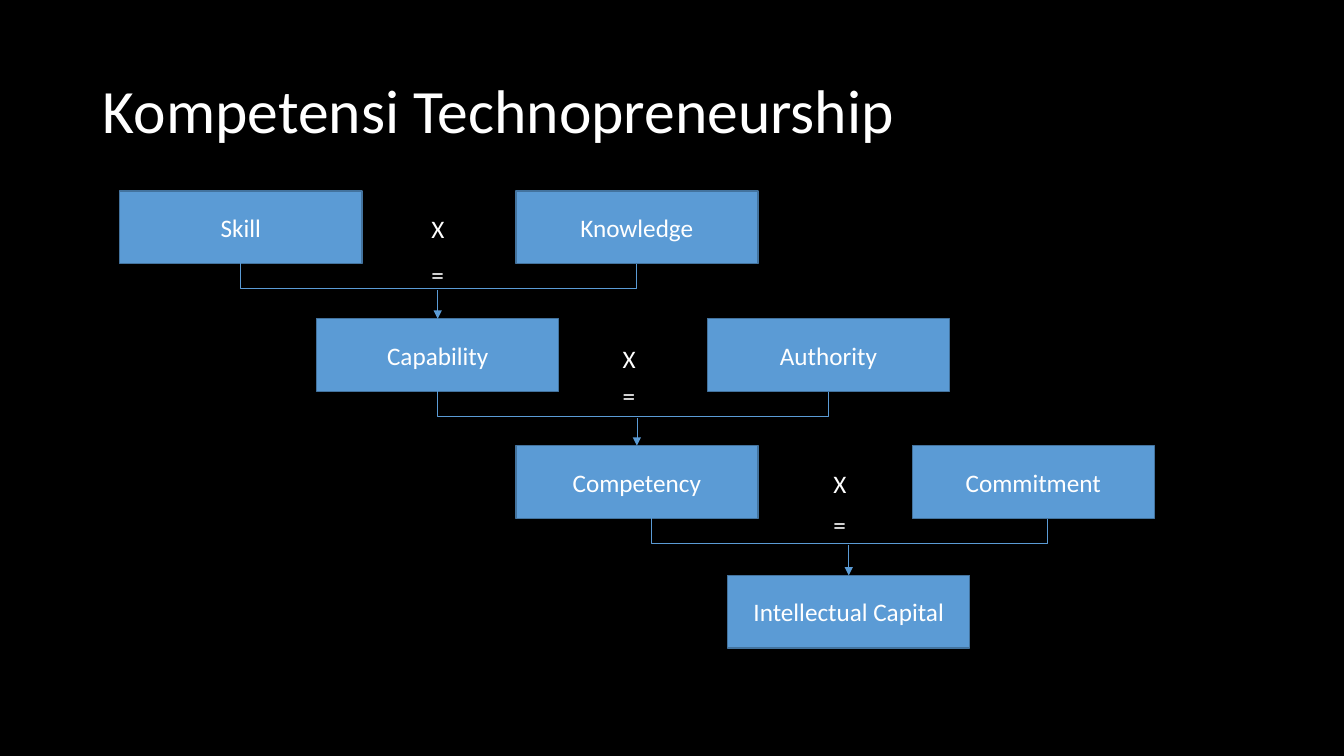
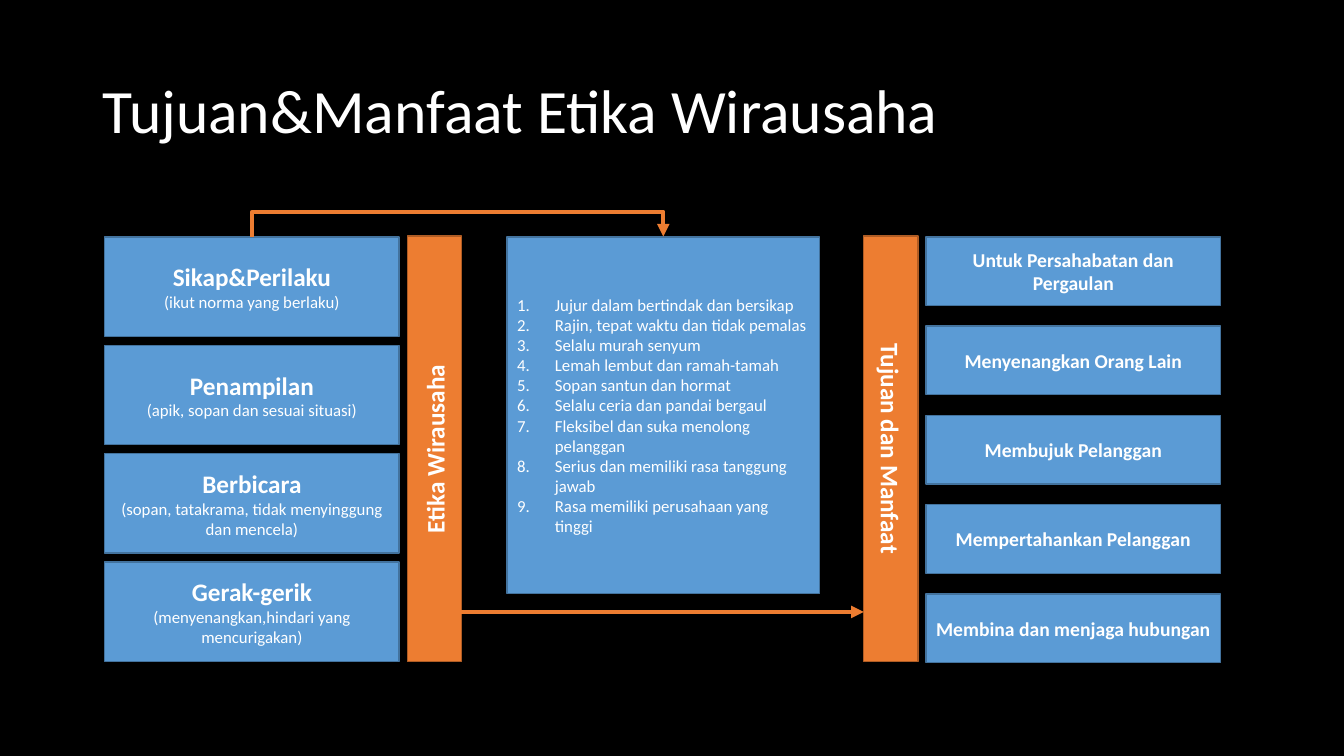
from pptx import Presentation
from pptx import util as u
from pptx.dml.color import RGBColor
from pptx.enum import shapes, text
from pptx.oxml import ns
from lxml import etree

BLACK = RGBColor(0x00, 0x00, 0x00)
WHITE = RGBColor(0xFF, 0xFF, 0xFF)
BLUE = RGBColor(0x5B, 0x9B, 0xD5)
BLUE_EDGE = RGBColor(0x43, 0x73, 0x9E)
ORANGE = RGBColor(0xED, 0x7D, 0x31)
ORANGE_EDGE = RGBColor(0xAF, 0x5C, 0x24)
FONT = "Calibri"
BODY_LAYOUT, TITLE_LAYOUT = 1, 5
CENTER, LEFT = text.PP_ALIGN.CENTER, text.PP_ALIGN.LEFT


def add_xml(parent, tag, **attributes):
    return etree.SubElement(parent, ns.qn(tag), attributes)


class Deck:
    """Holds the shared style and the slide being filled; lengths in cm."""

    def __init__(self):
        self.prs = Presentation()
        self.prs.slide_width, self.prs.slide_height = u.Cm(33.87), u.Cm(19.05)
        background = self.prs.slide_master.background.fill
        background.solid()
        background.fore_color.rgb = BLACK

    def new_slide(self, heading, layout):
        self.slide = self.prs.slides.add_slide(self.prs.slide_layouts[layout])
        title = self.slide.shapes.title
        self.place(title, 2.34, 1.02, 29.21, 3.68)
        self.fill_text(title, [(heading, 44, False)], LEFT)
        title.text_frame.paragraphs[0].line_spacing = 0.9

    def place(self, shape, x, y, w, h):
        shape.left, shape.top = u.Cm(x), u.Cm(y)
        shape.width, shape.height = u.Cm(w), u.Cm(h)

    def paint(self, shape, fill, edge):
        shape.fill.solid()
        shape.fill.fore_color.rgb = fill
        shape.line.color.rgb = edge
        shape.line.width = u.Pt(1)

    def fill_text(self, shape, lines, align=CENTER):
        """Each line is (words, size, bold) and becomes one paragraph."""
        frame = shape.text_frame
        frame.auto_size = text.MSO_AUTO_SIZE.NONE
        frame.word_wrap = True
        frame.vertical_anchor = text.MSO_ANCHOR.MIDDLE
        for i, (words, size, bold) in enumerate(lines):
            paragraph = frame.add_paragraph() if i else frame.paragraphs[0]
            paragraph.alignment = align
            run = paragraph.add_run()
            run.text = words
            run.font.name, run.font.size, run.font.bold = FONT, u.Pt(size), bold
            run.font.color.rgb = WHITE

    def box(self, x, y, w, h, lines, fill=BLUE, edge=BLUE_EDGE):
        box = self.slide.shapes.add_shape(
            shapes.MSO_SHAPE.RECTANGLE, u.Cm(x), u.Cm(y), u.Cm(w), u.Cm(h))
        box.shadow.inherit = False
        self.paint(box, fill, edge)
        self.fill_text(box, lines)
        return box

    def bar(self, center_x, center_y, length, thickness, words, rotation):
        bar = self.box(center_x - length / 2, center_y - thickness / 2, length,
                       thickness, [(words, 18, True)], ORANGE, ORANGE_EDGE)
        bar.rotation = rotation

    def sign(self, x, y, words):
        sign = self.slide.shapes.add_textbox(u.Cm(x), u.Cm(y), u.Cm(0.91), u.Cm(1.02))
        self.fill_text(sign, [(words, 18, False)], LEFT)
        sign.text_frame.word_wrap = False
        sign.text_frame.auto_size = text.MSO_AUTO_SIZE.SHAPE_TO_FIT_TEXT
        sign.text_frame.vertical_anchor = text.MSO_ANCHOR.TOP

    def numbered_list(self, x, y, w, h, items):
        body = self.slide.placeholders[1]
        self.place(body, x, y, w, h)
        self.paint(body, BLUE, BLUE_EDGE)
        self.fill_text(body, [(item, 12, False) for item in items], LEFT)
        for paragraph in body.text_frame.paragraphs:
            paragraph.space_before = u.Pt(0)
            props = paragraph._p.get_or_add_pPr()
            props.set("marL", str(u.Cm(0.95)))
            props.set("indent", str(-u.Cm(0.95)))
            add_xml(props, "a:buAutoNum", type="arabicPeriod")

    def connector(self, kind, x1, y1, x2, y2, color, width, head):
        line = self.slide.shapes.add_connector(
            kind, u.Cm(x1), u.Cm(y1), u.Cm(x2), u.Cm(y2))
        line.line.color.rgb = color
        line.line.width = u.Pt(width)
        props = line._element.spPr
        if head:
            add_xml(props.find(ns.qn("a:ln")), "a:tailEnd", type="triangle")
        add_xml(props, "a:effectLst")
        return line

    def arrow(self, x1, y1, x2, y2, color, width):
        return self.connector(shapes.MSO_CONNECTOR.STRAIGHT, x1, y1, x2, y2,
                              color, width, True)

    def bracket(self, x1, x2, y, color, width, down=True, head=False):
        """U-shaped elbow from x1 to x2: a quarter-turned, very thin connector."""
        thin, depth = 0.02, 0.64
        middle, half = (x1 + x2) / 2, (x2 - x1) / 2 * (1 if down else -1)
        elbow = self.connector(
            shapes.MSO_CONNECTOR.ELBOW, middle + thin / 2, y - half,
            middle - thin / 2, y + half, color, width, head)
        props = elbow._element.spPr
        props.find(ns.qn("a:xfrm")).set("rot", str((270 if down else 90) * 60000))
        geometry = props.find(ns.qn("a:prstGeom"))
        for old in list(geometry):
            geometry.remove(old)
        add_xml(add_xml(geometry, "a:avLst"), "a:gd", name="adj1",
                fmla=f"val {round(depth / thin * 100000)}")


def competence_slide(deck):
    deck.new_slide("Kompetensi Technopreneurship", TITLE_LAYOUT)
    width, height = 6.1, 1.83

    # Boxes: both factors of each row, then the final result
    rows = [(4.81, (3.02, "Skill"), (13, "Knowledge")),
            (8.03, (7.98, "Capability"), (17.83, "Authority")),
            (11.23, (13, "Competency"), (22.99, "Commitment")),
            (14.5, (18.34, "Intellectual Capital"))]
    results = [[deck.box(x, y, width, height, [(words, 18, False)])
                for x, words in factors][0] for y, *factors in rows]

    # Bracket under each pair and arrow to its result
    for (y, first, second), shift, result in zip(rows[:3], (0, 0, 0.36), results[1:]):
        bottom = y + height
        deck.bracket(first[0] + width / 2 + shift, second[0] + width / 2 + shift,
                     bottom, BLUE, 0.5)
        x = (result.left + result.width / 2) / u.Cm(1)
        arrow = deck.arrow(x, bottom + 0.67, x, result.top / u.Cm(1), BLUE, 0.5)
        arrow.end_connect(result, 0)

    # Multiplication and equals signs
    for x, times_y, equals_y in [(10.62, 5.26, 6.4), (15.44, 8.53, 9.47),
                                 (20.75, 11.68, 12.7)]:
        deck.sign(x, times_y, "X")
        deck.sign(x, equals_y, "=")


def ethics_slide(deck):
    deck.new_slide("Tujuan&Manfaat Etika Wirausaha", BODY_LAYOUT)
    top, width = 5.97, 7.42
    ethics_x, list_x, list_width = 2.64, 12.78, 7.87

    # Four sides of ethics
    ethics = [("Sikap&Perilaku", "(ikut norma yang berlaku)"),
              ("Penampilan", "(apik, sopan dan sesuai situasi)"),
              ("Berbicara", "(sopan, tatakrama, tidak menyinggung dan mencela)"),
              ("Gerak-gerik", "(menyenangkan,hindari yang mencurigakan)")]
    for i, (side, detail) in enumerate(ethics):
        deck.box(ethics_x, top + 2.73 * i, width, 2.51,
                 [(side, 18, True), (detail, 12, False)])

    # Rules of conduct
    deck.numbered_list(list_x, top, list_width, 8.99, [
        "Jujur dalam bertindak dan bersikap",
        "Rajin, tepat waktu dan tidak pemalas",
        "Selalu murah senyum",
        "Lemah lembut dan ramah-tamah",
        "Sopan santun dan hormat",
        "Selalu ceria dan pandai bergaul",
        "Fleksibel dan suka menolong pelanggan",
        "Serius dan memiliki rasa tanggung jawab",
        "Rasa memiliki perusahaan yang tinggi"])

    # Upright bars
    deck.bar(10.95, 11.31, 10.72, 1.37, "Etika Wirausaha", 270)
    deck.bar(22.45, 11.31, 10.72, 1.37, "Tujuan dan Manfaat", 90)

    # Goals and benefits
    goals = ["Untuk Persahabatan dan Pergaulan", "Menyenangkan Orang Lain",
             "Membujuk Pelanggan", "Mempertahankan Pelanggan",
             "Membina dan menjaga hubungan"]
    for i, goal in enumerate(goals):
        deck.box(23.34, top + 2.25 * i, width, 1.73, [(goal, 14, True)])

    # Arrows between the parts
    deck.arrow(11.63, 15.42, 21.77, 15.42, ORANGE, 3)
    deck.bracket(ethics_x + width / 2, list_x + list_width / 2, top, ORANGE, 3,
                 down=False, head=True)


def main():
    deck = Deck()
    competence_slide(deck)
    ethics_slide(deck)
    deck.prs.save("out.pptx")


if __name__ == "__main__":
    main()
